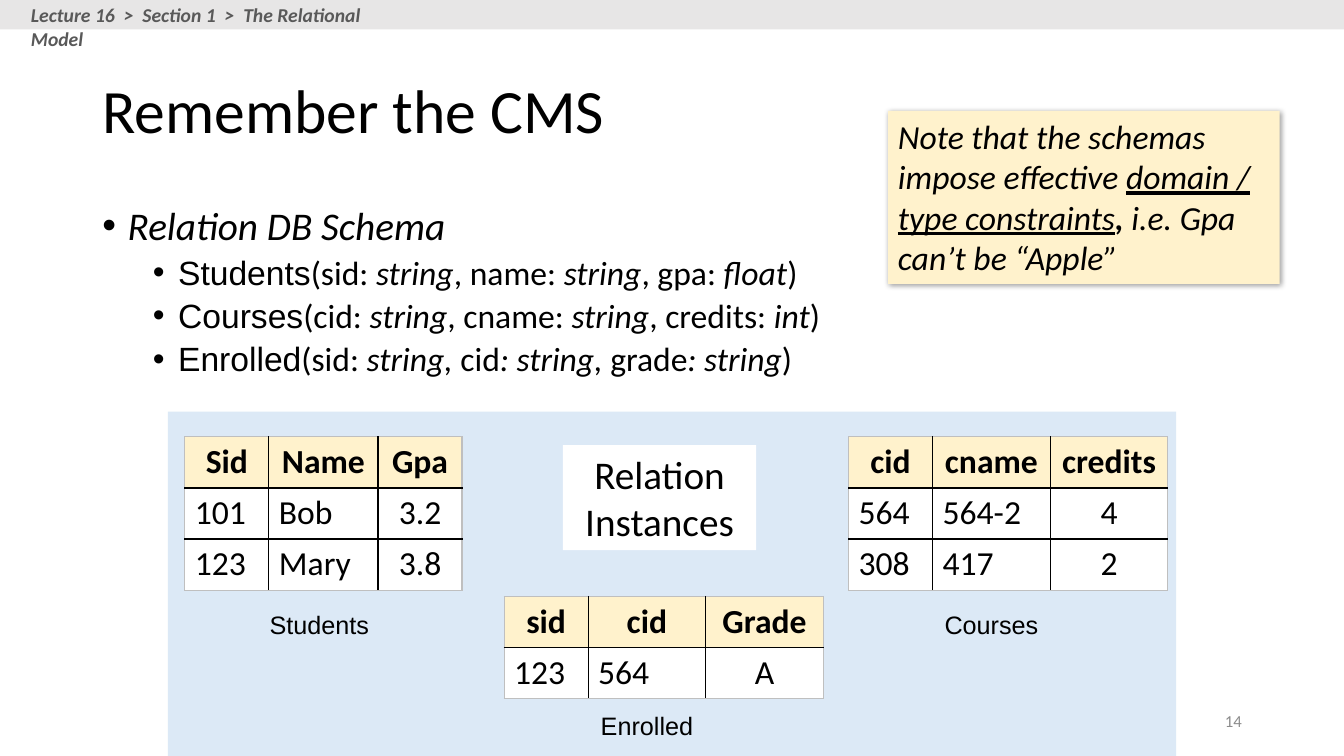
from lxml.etree import SubElement
from pptx import Presentation
from pptx.dml.color import RGBColor
from pptx.enum.shapes import MSO_SHAPE
from pptx.enum.text import MSO_ANCHOR, MSO_AUTO_SIZE, PP_ALIGN
from pptx.oxml import parse_xml
from pptx.oxml.ns import nsdecls, qn
from pptx.util import Inches, Pt

LEFT, MID, RIGHT = PP_ALIGN.LEFT, PP_ALIGN.CENTER, PP_ALIGN.RIGHT
CREAM, WHITE, BLACK, GREY = "FFF2CC", "FFFFFF", "000000", "BFBFBF"

deck = Presentation()
deck.slide_width, deck.slide_height = Inches(13.33), Inches(7.5)
slide = deck.slides.add_slide(deck.slide_layouts[1])
shapes = slide.shapes
unit = deck.slide_height / 90  # the slide is a grid of 160 by 90


def put(box, spot, fill=None):
    """Place a box on the grid, ready for text, with an optional fill."""
    box.left, box.top, box.width, box.height = [int(n * unit) for n in spot]
    frame = box.text_frame
    frame.word_wrap = True
    frame.auto_size = MSO_AUTO_SIZE.NONE
    frame.vertical_anchor = MSO_ANCHOR.TOP
    if fill:
        box.shadow.inherit = False
        box.fill.solid()
        box.fill.fore_color.rgb = RGBColor.from_string(fill)
        box.line.fill.background()
    return frame


def write(para, runs, size, align=LEFT, face="Calibri", color=BLACK):
    """Add runs of (text, styles); styles holds letters from b, i, u, a (Arial)."""
    para.alignment = align
    for text, style in runs:
        run = para.add_run()
        run.text = text
        font = run.font
        font.size, font.name = Pt(size), "Arial" if "a" in style else face
        font.bold, font.italic, font.underline = [k in style for k in "biu"]
        font.color.rgb = RGBColor.from_string(color)


# Pale blue panel behind everything
panel = shapes.add_shape(MSO_SHAPE.RECTANGLE, 0, 0, 0, 0)
put(panel, (20, 49, 120, 41), "5B9BD5")
tint = panel.fill._xPr.find(qn("a:solidFill"))[0]
SubElement(tint, qn("a:alpha"), val="21000")
panel.element.getparent().insert(2, panel.element)

# Title
frame = put(shapes.title, (11, 4.8, 138, 17.4))
frame.vertical_anchor = MSO_ANCHOR.MIDDLE
frame.paragraphs[0].line_spacing = 0.9
write(frame.paragraphs[0], [("Remember the CMS", "")], 44)

# Schema list
schema = [
    [("Relation DB Schema", "i")],
    [("Students", "a"), ("(sid: ", ""), ("string", "i"), (", name: ", ""),
     ("string", "i"), (", gpa: ", ""), ("float", "i"), (")", "")],
    [("Courses", "a"), ("(cid: ", ""), ("string", "i"), (", cname: ", ""),
     ("string", "i"), (", credits: ", ""), ("int", "i"), (")", "")],
    [("Enrolled", "a"), ("(sid: ", ""), ("string, ", "i"), ("cid", ""),
     (": string, ", "i"), ("grade", ""), (": string", "i"), (")", "")],
]
frame = put(slide.placeholders[1], (11, 24, 138, 57.1))
for row, runs in enumerate(schema):
    para = frame.paragraphs[0] if row == 0 else frame.add_paragraph()
    para.level = min(row, 1)
    para.line_spacing = 0.9
    para.space_before = Pt(5 * para.level)
    props = para._p.get_or_add_pPr()
    props.set("marL", str(Inches(0.25 + 0.5 * para.level)))
    props.set("indent", str(-Inches(0.25)))
    SubElement(props, qn("a:buFont"), typeface="Arial")
    SubElement(props, qn("a:buChar"), char="•")
    write(para, runs, 28 - 4 * para.level)

# Tables: left, top, column widths, rows
tables = [
    (22, 52, (10, 13, 10),
     [("Sid", "Name", "Gpa"), ("101", "Bob", "3.2"), ("123", "Mary", "3.8")]),
    (101, 52, (10, 14, 14),
     [("cid", "cname", "credits"), ("564", "564-2", "4"), ("308", "417", "2")]),
    (60, 71, (10, 14, 14), [("sid", "cid", "Grade"), ("123", "564", "A")]),
]
for left, top, widths, rows in tables:
    spot = [int(n * unit) for n in (left, top, sum(widths), 6 * len(rows))]
    grid = shapes.add_table(len(rows), 3, *spot).table
    for col, width in zip(grid.columns, widths):
        col.width = int(width * unit)
    for r, row in enumerate(rows):
        for c, text in enumerate(row):
            cell = grid.cell(r, c)
            props = cell._tc.get_or_add_tcPr()
            outer = {"L": c == 0, "R": c == 2, "T": r == 0, "B": r == len(rows) - 1}
            for side, edge in outer.items():
                props.append(parse_xml(
                    f'<a:ln{side} {nsdecls("a")} w="12700"><a:solidFill>'
                    f'<a:srgbClr val="{GREY if edge else BLACK}"/>'
                    f'</a:solidFill></a:ln{side}>'))
            cell.fill.solid()
            cell.fill.fore_color.rgb = RGBColor.from_string(WHITE if r else CREAM)
            align = MID if r == 0 or c == 2 else LEFT
            write(cell.text_frame.paragraphs[0], [(text, "" if r else "b")], 24, align)

# Table names
for name, left, top in [("Students", 27, 72), ("Courses", 107, 72), ("Enrolled", 66, 84)]:
    frame = put(shapes.add_textbox(0, 0, 0, 0), (left, top, 22, 4.8))
    write(frame.paragraphs[0], [(name, "")], 18, MID, "Arial")

# White label between the tables
label = shapes.add_shape(MSO_SHAPE.RECTANGLE, 0, 0, 0, 0)
frame = put(label, (67, 53, 23, 12.5), WHITE)
write(frame.paragraphs[0], [("Relation Instances", "")], 28, MID)

# Slide number
frame = put(shapes.add_textbox(0, 0, 0, 0), (113, 83.4, 36, 4.8))
frame.vertical_anchor = MSO_ANCHOR.MIDDLE
write(frame.paragraphs[0], [("14", "")], 12, RIGHT, color="8C8C8C")

# Header bar and trail
bar = shapes.add_shape(MSO_SHAPE.RECTANGLE, 0, 0, 0, 0)
put(bar, (0, 0, 160, 3.5), "E7E6E6")
frame = put(shapes.add_textbox(0, 0, 0, 0), (2.5, -0.2, 47.5, 4))
trail = "Lecture 16  >  Section 1  >  The Relational Model"
write(frame.paragraphs[0], [(trail, "bi")], 14, color="595959")

# Note with a soft shadow
note = shapes.add_shape(MSO_SHAPE.RECTANGLE, 0, 0, 0, 0)
frame = put(note, (105.7, 13.2, 46.6, 20.6), CREAM)
write(frame.paragraphs[0], [
    ("Note that the schemas impose effective ", "i"),
    ("domain / type constraints", "iu"),
    (", ", "bi"),
    ("i.e. Gpa can’t be “Apple”", "i"),
], 24)
soft = SubElement(note.element.spPr.find(qn("a:effectLst")), qn("a:outerShdw"),
                  blurRad=str(Pt(4)), dist=str(Pt(1)), dir="2700000")
shade = SubElement(soft, qn("a:srgbClr"), val=BLACK)
SubElement(shade, qn("a:alpha"), val="40000")

deck.save("out.pptx")
